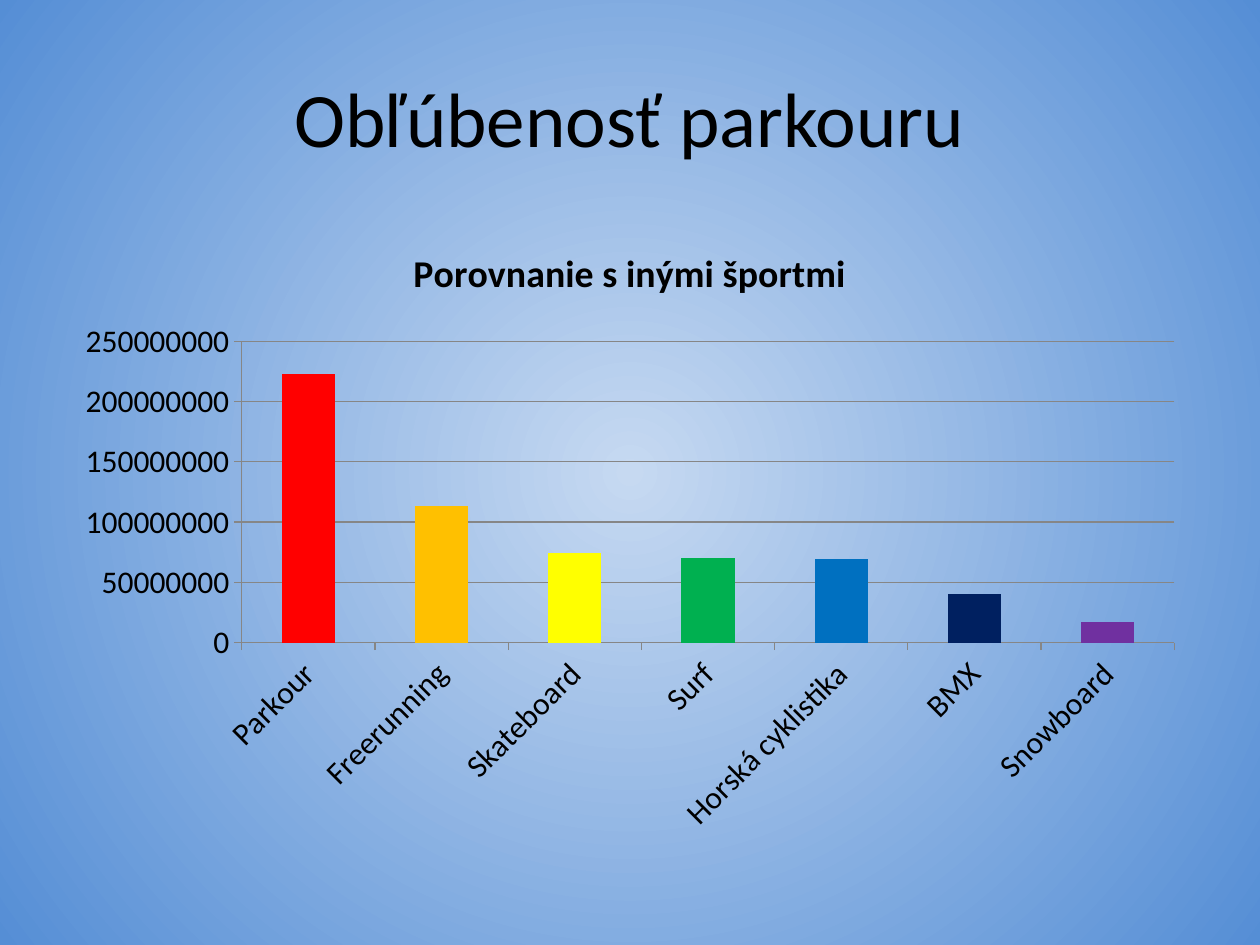
from lxml.etree import SubElement
from pptx import Presentation
from pptx.chart.data import CategoryChartData
from pptx.dml.color import RGBColor
from pptx.enum.chart import XL_CHART_TYPE, XL_TICK_MARK
from pptx.enum.text import MSO_ANCHOR, PP_ALIGN
from pptx.oxml.ns import qn
from pptx.util import Inches, Pt

W, H = Inches(10), Inches(7.5)
FONT = "Calibri"
COLORS = {
    "text": "000000", "grid": "868686", "center": "C6D9F1", "edge": "558ED5",
    "red": "FF0000", "orange": "FFC000", "yellow": "FFFF00", "green": "00B050",
    "blue": "0070C0", "navy": "002060", "purple": "7030A0",
}
SPORTS = [
    ("Parkour", 223000000, "red"),
    ("Freerunning", 113000000, "orange"),
    ("Skateboard", 74000000, "yellow"),
    ("Surf", 70000000, "green"),
    ("Horská cyklistika", 69000000, "blue"),
    ("BMX", 40000000, "navy"),
    ("Snowboard", 17000000, "purple"),
]


def rgb(name):
    """Return the named colour."""
    return RGBColor.from_string(COLORS[name])


def box(x, y, w, h):
    """Turn shares of the slide into a position and size."""
    return int(W * x), int(H * y), int(W * w), int(H * h)


def set_font(font, size, bold=False, color="text"):
    """Apply the slide's font with the given format."""
    font.name, font.size, font.bold = FONT, Pt(size), bold
    font.color.rgb = rgb(color)


def write(tf, text, size, bold=False, color="text", align=PP_ALIGN.CENTER):
    """Write one formatted paragraph into a text frame."""
    p = tf.paragraphs[0]
    p.alignment = align
    r = p.add_run()
    r.text = text
    set_font(r.font, size, bold, color)


def add_background(s):
    """Fill the background with a circular gradient from the centre."""
    fill = s.background.fill
    fill.gradient()
    for stop, position, name in zip(fill.gradient_stops, (0, 1), ("center", "edge")):
        stop.position = position
        stop.color.rgb = rgb(name)
    grad = next(s.element.iter(qn("a:gradFill")))
    for lin in grad.findall(qn("a:lin")):
        grad.remove(lin)
    circle = SubElement(grad, qn("a:path"), {"path": "circle"})
    SubElement(circle, qn("a:fillToRect"), dict.fromkeys("ltrb", "50000"))


def add_title(s, text):
    """Add the centred slide title."""
    tf = s.shapes.add_textbox(*box(0.05, 0.04, 0.9, 1 / 6)).text_frame
    tf.word_wrap = True
    tf.vertical_anchor = MSO_ANCHOR.MIDDLE
    write(tf, text, 44)


def style_axis(axis):
    """Give an axis its line, tick marks and label font."""
    axis.major_tick_mark = XL_TICK_MARK.OUTSIDE
    axis.minor_tick_mark = XL_TICK_MARK.NONE
    axis.format.line.color.rgb = rgb("grid")
    axis.format.line.width = Pt(0.75)
    set_font(axis.tick_labels.font, 18)


def add_sports_chart(s, title):
    """Add the column chart with one colour for each sport."""
    names, values, colors = zip(*SPORTS)
    data = CategoryChartData()
    data.categories = names
    data.add_series("Series 1", values)
    chart = s.shapes.add_chart(
        XL_CHART_TYPE.COLUMN_CLUSTERED, *box(0.05, 7 / 30, 0.9, 0.66), data).chart
    set_font(chart.font, 18)
    chart.has_legend = False
    chart.has_title = True
    write(chart.chart_title.text_frame, title, 21.6, bold=True)
    chart.chart_title.include_in_layout = False

    for axis in (chart.category_axis, chart.value_axis):
        style_axis(axis)
    line = chart.value_axis.major_gridlines.format.line
    line.color.rgb = rgb("grid")
    line.width = Pt(0.75)

    plot = chart.plots[0]
    plot.gap_width = 150
    plot.vary_by_categories = False
    series = plot.series[0]
    series.format.fill.solid()
    series.format.fill.fore_color.rgb = rgb(colors[0])
    for i, name in enumerate(colors[1:], 1):
        fill = series.points[i].format.fill
        fill.solid()
        fill.fore_color.rgb = rgb(name)


def main():
    """Build and save the slide."""
    prs = Presentation()
    prs.slide_width, prs.slide_height = W, H
    s = prs.slides.add_slide(prs.slide_layouts[6])
    add_background(s)
    add_title(s, "Obľúbenosť parkouru")
    add_sports_chart(s, "Porovnanie s inými športmi")
    prs.save("out.pptx")


if __name__ == "__main__":
    main()
